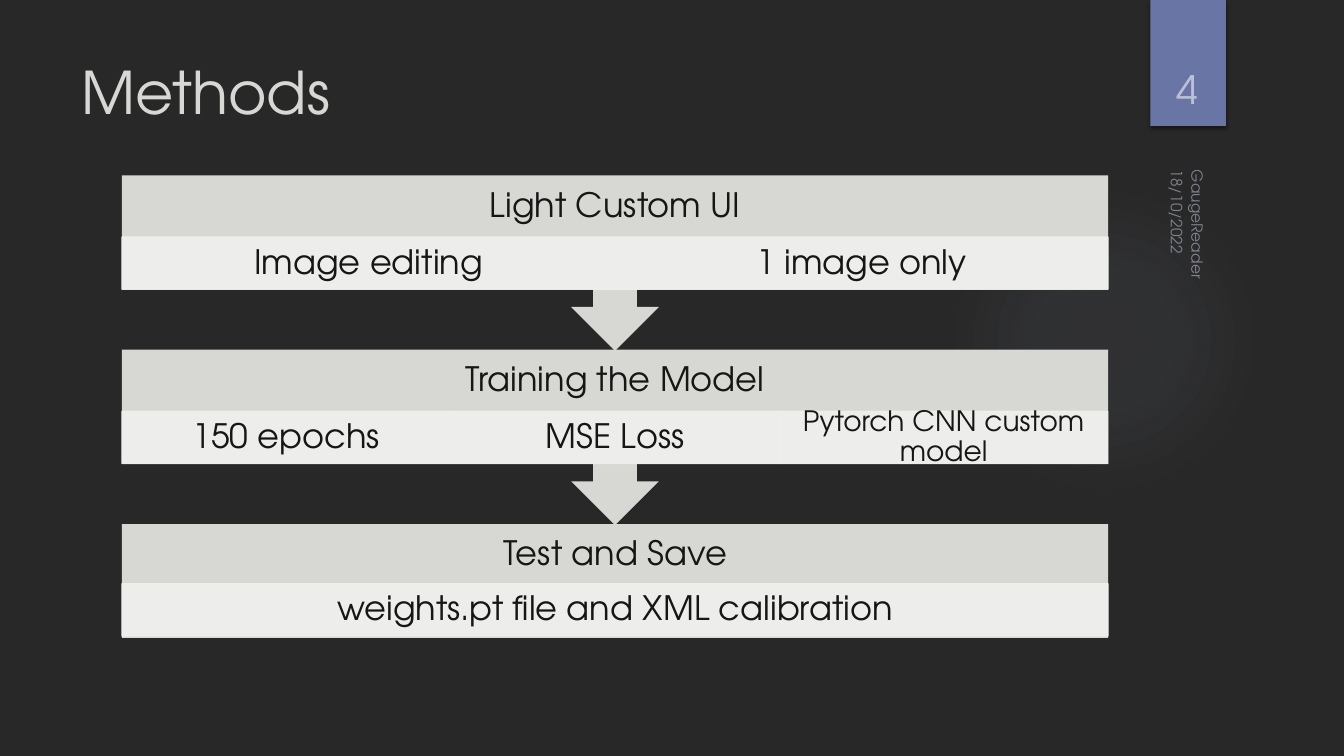
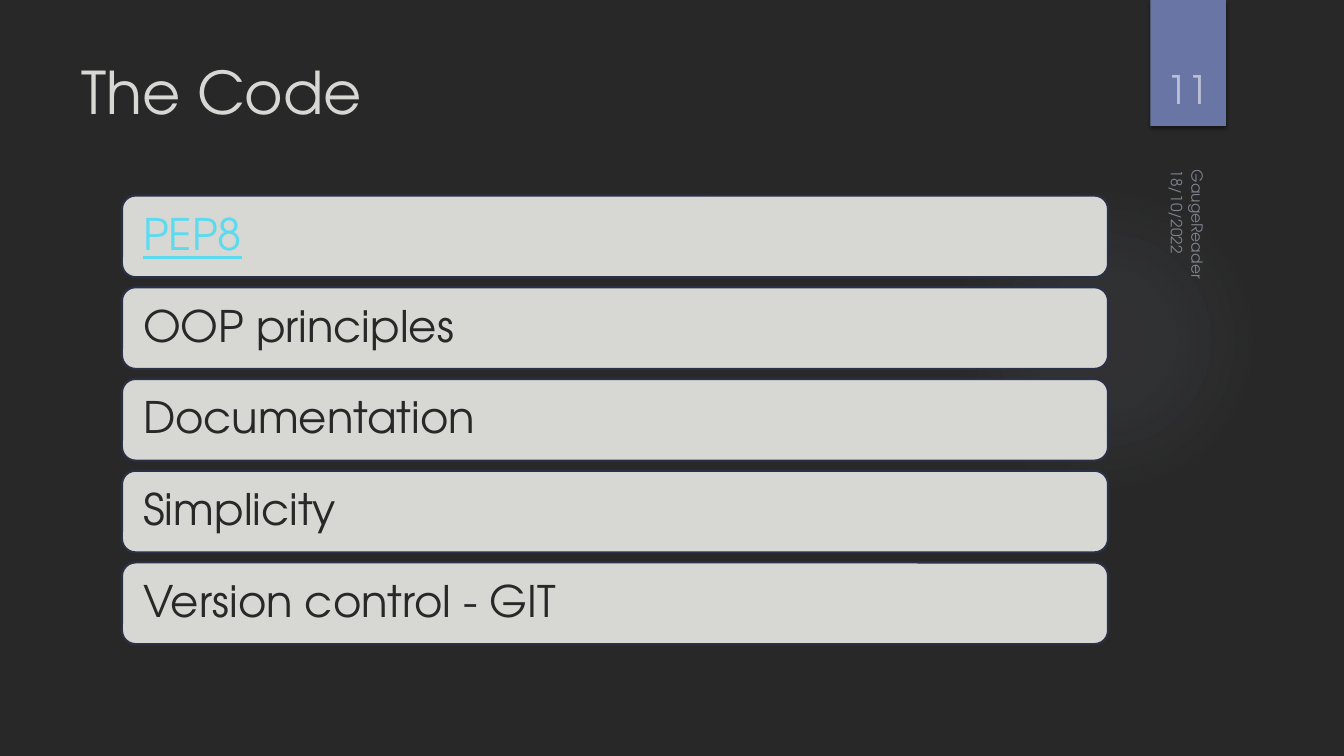
from dataclasses import dataclass

from lxml import etree
from pptx import Presentation
from pptx import util as u
from pptx.dml import color
from pptx.enum import shapes, text
from pptx.oxml import ns, parse_xml
from pptx.shapes.autoshape import Shape
from pptx.slide import Slide, SlideLayout


@dataclass(frozen=True)
class Theme:
    font: str = "TeX Gyre Adventor"
    background: str = "282828"
    title: str = "D7D7D4"
    panel: str = "D7D7D4"
    panel_text: str = "161615"
    cell: str = "F0F0EF"
    card_line: str = "2A3046"
    card_text: str = "282828"
    link: str = "5CDAEE"
    ribbon: str = "6976A5"
    glow: str = "9CA4C3"
    footer: str = "BBC0D4"
    title_size: float = 42
    card_size: float = 31
    number_size: float = 28
    step_size: float = 24
    small_step_size: float = 20
    footer_size: float = 11


@dataclass(frozen=True)
class Box:
    left: float
    top: float
    width: float
    height: float


@dataclass(frozen=True)
class Detail:
    label: str
    size: float


@dataclass(frozen=True)
class Step:
    heading: str
    details: tuple[Detail, ...]
    heading_height: float = 0.61
    has_arrow: bool = True


@dataclass(frozen=True)
class Card:
    label: str
    is_link: bool = False


@dataclass(frozen=True)
class Footer:
    label: str
    box: Box
    anchor: text.MSO_ANCHOR


THEME = Theme()
CONTENT_LEFT, CONTENT_WIDTH = 1.21, 9.78
TITLE_BOX = Box(0.71, 0.5, 10.29, 1.53)
GLOW_BOX = Box(9.41, 1.83, 3.08, 3.08)
RIBBON_BOX = Box(11.41, 0, 0.75, 1.25)
NUMBER_BOX = Box(11.32, 0.32, 0.92, 0.84)

STEP_TOP, STEP_PITCH = 1.74, 1.73
CALLOUT_HEIGHT, PANEL_HEIGHT, CELL_HEIGHT = 1.74, 1.13, 0.52
CARD_TOP, CARD_PITCH, CARD_HEIGHT, CARD_INSET = 1.94, 0.91, 0.81, 0.17

FOOTERS = (
    Footer("18/10/2022", Box(11.11, 1.96, 1.08, 0.33), text.MSO_ANCHOR.TOP),
    Footer("GaugeReader", Box(9.79, 3.53, 4.22, 0.33), text.MSO_ANCHOR.BOTTOM),
)
STEPS = (
    Step("Light Custom UI", (
        Detail("Image editing", THEME.step_size),
        Detail("1 image only", THEME.step_size),
    )),
    Step("Training the Model", (
        Detail("150 epochs", THEME.step_size),
        Detail("MSE Loss", THEME.step_size),
        Detail("Pytorch CNN custom model", THEME.small_step_size),
    )),
    Step("Test and Save", (
        Detail("weights.pt file and XML calibration", THEME.step_size),
    ), heading_height=0.59, has_arrow=False),
)
CARDS = (
    Card("PEP8", is_link=True),
    Card("OOP principles"),
    Card("Documentation"),
    Card("Simplicity"),
    Card("Version control - GIT"),
)


def rgb(value: str) -> color.RGBColor:
    return color.RGBColor.from_string(value)


def lengths(box: Box) -> tuple[u.Length, ...]:
    return tuple(u.Inches(value) for value in (box.left, box.top, box.width, box.height))


def set_opacity(element: etree.ElementBase, percent: int) -> None:
    for node in element.iter(ns.qn("a:srgbClr")):
        etree.SubElement(node, ns.qn("a:alpha")).set("val", str(percent * 1000))


def add_box(slide: Slide, kind: shapes.MSO_SHAPE, box: Box, fill: str,
            line: str | None = None, line_width: float = 0) -> Shape:
    shape = slide.shapes.add_shape(kind, *lengths(box))
    shape.shadow.inherit = False
    shape.fill.solid()
    shape.fill.fore_color.rgb = rgb(fill)
    if line is None:
        shape.line.fill.background()
    else:
        shape.line.color.rgb = rgb(line)
        shape.line.width = u.Pt(line_width)
    return shape


def write(shape: Shape, label: str, size: float, text_color: str,
          align: text.PP_ALIGN = text.PP_ALIGN.LEFT,
          anchor: text.MSO_ANCHOR = text.MSO_ANCHOR.MIDDLE,
          spacing: float = 1.0, underline: bool = False) -> None:
    frame = shape.text_frame
    frame.text = label
    frame.word_wrap = True
    frame.vertical_anchor = anchor
    paragraph = frame.paragraphs[0]
    paragraph.alignment = align
    paragraph.line_spacing = spacing
    font = paragraph.runs[0].font
    font.name = THEME.font
    font.size = u.Pt(size)
    font.color.rgb = rgb(text_color)
    if underline:
        font.underline = True


def set_insets(shape: Shape, side: float, top: float, bottom: float) -> None:
    frame = shape.text_frame
    frame.margin_left = frame.margin_right = u.Inches(side)
    frame.margin_top = u.Inches(top)
    frame.margin_bottom = u.Inches(bottom)


def add_glow(slide: Slide) -> None:
    glow = add_box(slide, shapes.MSO_SHAPE.OVAL, GLOW_BOX, THEME.glow)
    stops = "".join(
        f'<a:gs pos="{position * 1000}"><a:srgbClr val="{THEME.glow}">'
        f'<a:alpha val="{opacity * 1000}"/></a:srgbClr></a:gs>'
        for position, opacity in ((0, 7), (36, 6), (69, 0), (100, 0))
    )
    gradient = parse_xml(
        f'<a:gradFill {ns.nsdecls("a")}><a:gsLst>{stops}</a:gsLst><a:path path="circle">'
        '<a:fillToRect l="50000" t="50000" r="50000" b="50000"/></a:path></a:gradFill>'
    )
    properties = glow._element.spPr
    properties.replace(properties.find(ns.qn("a:solidFill")), gradient)


def add_ribbon(slide: Slide) -> None:
    ribbon = add_box(slide, shapes.MSO_SHAPE.RECTANGLE, RIBBON_BOX, THEME.ribbon)
    shadow = parse_xml(
        f'<a:outerShdw {ns.nsdecls("a")} blurRad="{u.Pt(3)}" dist="{u.Pt(2)}" '
        'dir="5400000" rotWithShape="0"><a:srgbClr val="000000">'
        '<a:alpha val="45000"/></a:srgbClr></a:outerShdw>'
    )
    ribbon._element.spPr.find(ns.qn("a:effectLst")).append(shadow)


def add_footer(slide: Slide, footer: Footer) -> None:
    shape = slide.shapes.add_textbox(*lengths(footer.box))
    shape.rotation = 90
    write(shape, footer.label, THEME.footer_size, THEME.footer, anchor=footer.anchor)
    set_opacity(shape._element.txBody, 60)


def add_base_slide(presentation: Presentation, layout: SlideLayout,
                   title: str, number: int) -> Slide:
    slide = presentation.slides.add_slide(layout)
    add_glow(slide)
    add_ribbon(slide)
    write(slide.shapes.title, title, THEME.title_size, THEME.title,
          anchor=text.MSO_ANCHOR.TOP)
    for footer in FOOTERS:
        add_footer(slide, footer)
    number_box = slide.shapes.add_textbox(*lengths(NUMBER_BOX))
    write(number_box, str(number), THEME.number_size, THEME.footer,
          text.PP_ALIGN.CENTER, text.MSO_ANCHOR.BOTTOM)
    return slide


def add_step(slide: Slide, step: Step, top: float) -> None:
    kind, height = ((shapes.MSO_SHAPE.DOWN_ARROW_CALLOUT, CALLOUT_HEIGHT) if step.has_arrow
                    else (shapes.MSO_SHAPE.RECTANGLE, PANEL_HEIGHT))
    panel = add_box(slide, kind, Box(CONTENT_LEFT, top, CONTENT_WIDTH, height), THEME.panel)
    set_insets(panel, 0.19, 0, CELL_HEIGHT)
    write(panel, step.heading, THEME.step_size, THEME.panel_text,
          text.PP_ALIGN.CENTER, spacing=0.9)
    width = CONTENT_WIDTH / len(step.details)
    for index, detail in enumerate(step.details):
        box = Box(CONTENT_LEFT + index * width, top + step.heading_height, width, CELL_HEIGHT)
        cell = add_box(slide, shapes.MSO_SHAPE.RECTANGLE, box, THEME.cell, THEME.cell, 0.75)
        set_opacity(cell._element.spPr, 90)
        set_insets(cell, 0.16, 0.03, 0.03)
        write(cell, detail.label, detail.size, THEME.panel_text,
              text.PP_ALIGN.CENTER, spacing=0.9)


def add_card(slide: Slide, card: Card, top: float) -> None:
    shape = add_box(slide, shapes.MSO_SHAPE.ROUNDED_RECTANGLE,
                    Box(CONTENT_LEFT, top, CONTENT_WIDTH, CARD_HEIGHT),
                    THEME.panel, THEME.card_line, 1.5)
    set_insets(shape, CARD_INSET, CARD_INSET, CARD_INSET)
    write(shape, card.label, THEME.card_size,
          THEME.link if card.is_link else THEME.card_text,
          spacing=0.9, underline=card.is_link)


def main() -> None:
    presentation = Presentation()
    presentation.slide_width = u.Inches(13.33)
    presentation.slide_height = u.Inches(7.5)
    background = presentation.slide_master.background.fill
    background.solid()
    background.fore_color.rgb = rgb(THEME.background)
    layout = presentation.slide_layouts.get_by_name("Title Only")
    title = layout.placeholders[0]
    title.left, title.top, title.width, title.height = lengths(TITLE_BOX)

    methods = add_base_slide(presentation, layout, "Methods", 4)
    for index, step in reversed(list(enumerate(STEPS))):
        add_step(methods, step, STEP_TOP + index * STEP_PITCH)

    code = add_base_slide(presentation, layout, "The Code", 11)
    for index, card in enumerate(CARDS):
        add_card(code, card, CARD_TOP + index * CARD_PITCH)

    presentation.save("out.pptx")


if __name__ == "__main__":
    main()
